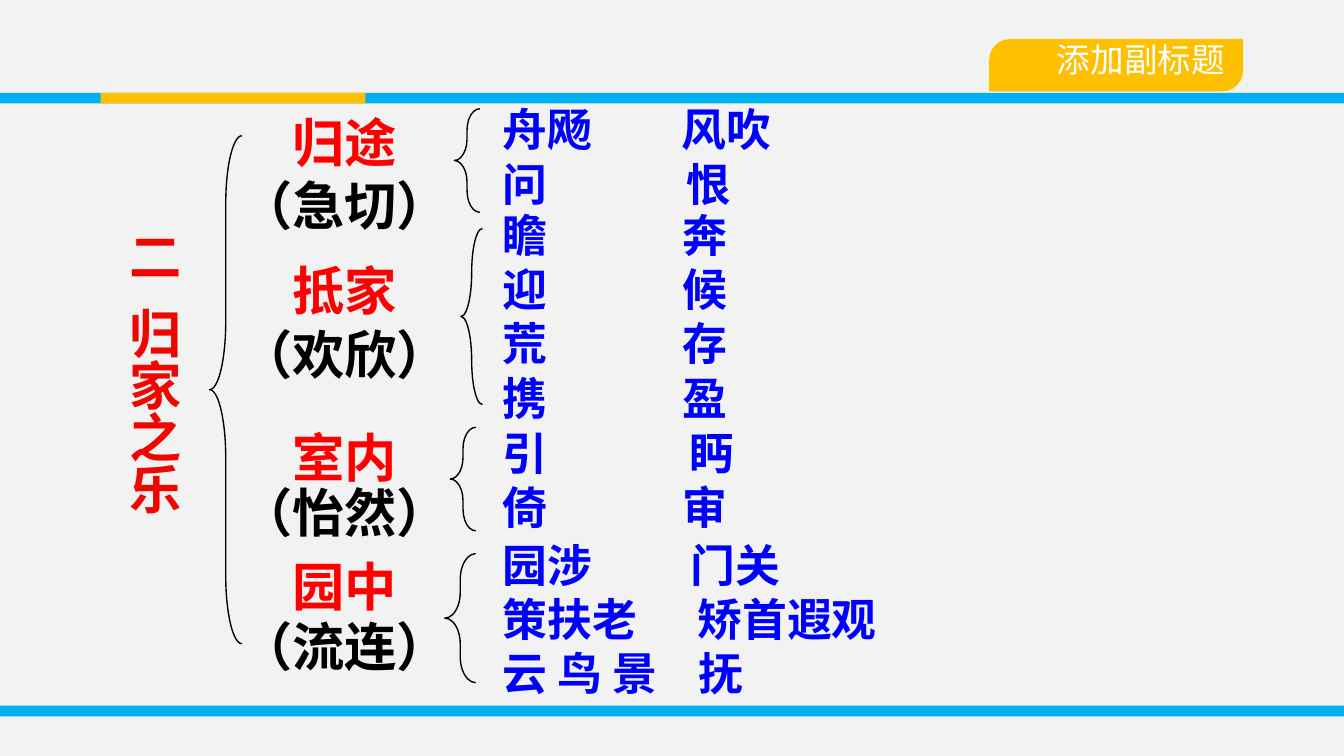
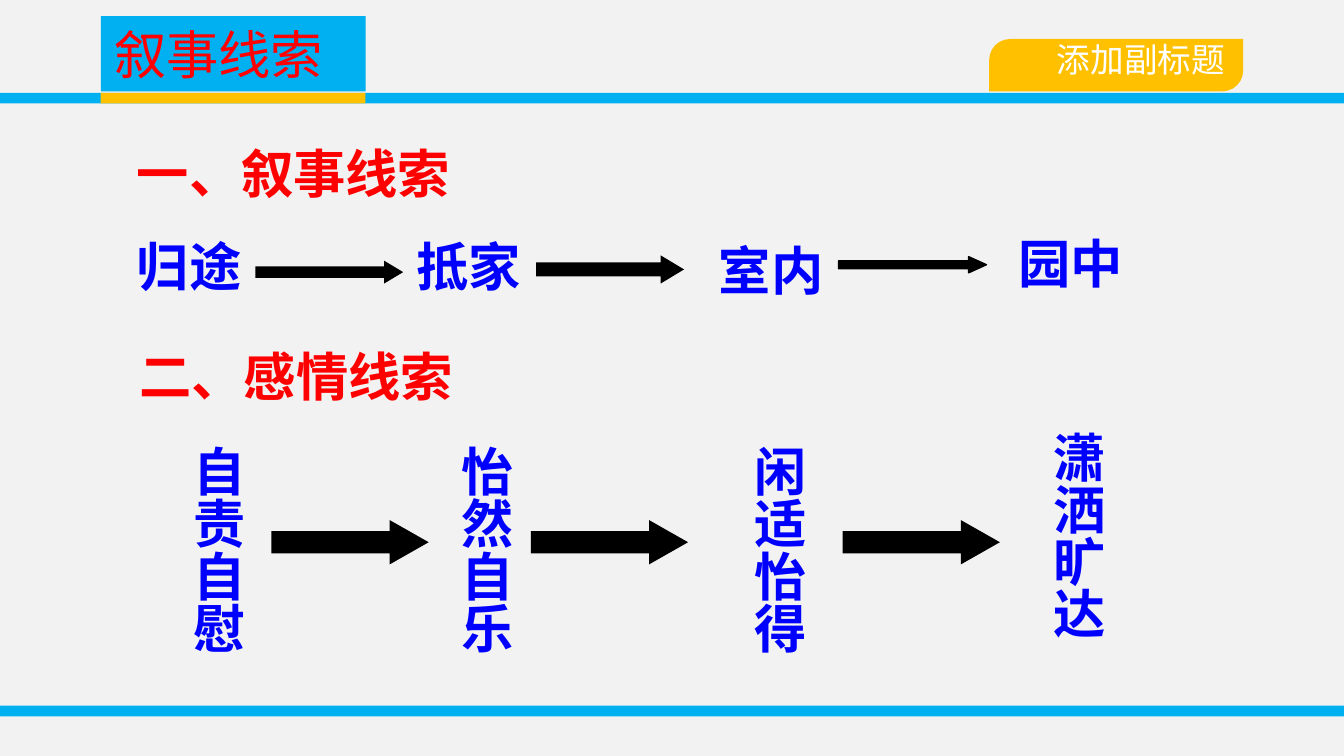
from lxml.etree import SubElement
from pptx import Presentation
from pptx.dml.color import RGBColor as Rgb
from pptx.enum.shapes import MSO_SHAPE as Form
from pptx.enum.text import MSO_ANCHOR as Anchor, MSO_AUTO_SIZE as Auto, PP_ALIGN as Align
from pptx.oxml.ns import qn
from pptx.util import Inches, Pt

GREY = Rgb(0xF2, 0xF2, 0xF2)
SKY = Rgb(0x00, 0xB0, 0xF0)
GOLD = Rgb(0xFF, 0xC0, 0x00)
RED = Rgb(0xFF, 0x00, 0x00)
DEEP = Rgb(0xEE, 0x06, 0x00)
BLUE = Rgb(0x00, 0x00, 0xFF)
BLACK = Rgb(0x00, 0x00, 0x00)
WHITE = Rgb(0xFF, 0xFF, 0xFF)
TITLE_ONLY, BLANK = 5, 6


def write(frame, *lines, tabs=(), size=28, color=BLACK, bold=True, font="Arial",
          align=Align.LEFT, anchor=Anchor.MIDDLE, step=None, inset=None):
    """Fill a text frame with one paragraph per line."""
    frame.word_wrap = True
    frame.auto_size = Auto.NONE
    frame.vertical_anchor = anchor
    if inset:
        (frame.margin_left, frame.margin_top,
         frame.margin_right, frame.margin_bottom) = map(Inches, inset)
    for num, line in enumerate(lines):
        para = frame.add_paragraph() if num else frame.paragraphs[0]
        para.alignment = align
        if step:
            para.line_spacing = Pt(step)
        if tabs:
            stops = SubElement(para._p.get_or_add_pPr(), qn("a:tabLst"))
            SubElement(stops, qn("a:tab"), pos=str(Inches(tabs[num])), algn="l")
        run = para.add_run()
        run.text = line
        run.font.size, run.font.bold, run.font.name = Pt(size), bold, font
        run.font.color.rgb = color
        SubElement(run._r.get_or_add_rPr(), qn("a:ea"), typeface=font)


def label(slide, box, *lines, **style):
    """Add a text box."""
    frame = slide.shapes.add_textbox(*map(Inches, box)).text_frame
    write(frame, *lines, **style)
    return frame


def column(slide, box, text, **style):
    """Add a text box that reads from top to bottom."""
    frame = label(slide, box, text, anchor=Anchor.TOP, **style)
    frame._txBody.bodyPr.set("vert", "eaVert")


def draw(slide, form, box, fill=None, line=None, adjust=()):
    """Add a preset shape with its fill, line and adjustments."""
    shape = slide.shapes.add_shape(form, *map(Inches, box))
    shape.shadow.inherit = False
    for num, value in enumerate(adjust):
        shape.adjustments[num] = value
    if fill is None:
        shape.fill.background()
    else:
        shape.fill.solid()
        shape.fill.fore_color.rgb = fill
    if line is None:
        shape.line.fill.background()
    else:
        shape.line.color.rgb = line
        shape.line.width = Pt(0.75)
    return shape


def start(deck, layout):
    """Add a slide with the shared background, bands and corner tab."""
    slide = deck.slides.add_slide(deck.slide_layouts[layout])
    slide.background.fill.solid()
    slide.background.fill.fore_color.rgb = GREY
    for top in (5.25, 0.69):
        draw(slide, Form.RECTANGLE, (0, top, 10, 0.08), SKY)
    draw(slide, Form.RECTANGLE, (0.75, 0.69, 1.97, 0.08), GOLD)
    tab = draw(slide, Form.ROUND_2_DIAG_RECTANGLE, (7.36, 0.29, 1.89, 0.39), GOLD,
               adjust=(0.4, 0))
    write(tab.text_frame, "添加副标题", size=18, color=WHITE, bold=False,
          align=Align.RIGHT, inset=(0, 0, 0.09, 0.09))
    return slide


def brace(slide, box, curve):
    """Add a left brace."""
    draw(slide, Form.LEFT_BRACE, box, line=BLACK, adjust=(curve, 0.5))


def stage(slide, top, place, mood, drop, hook, curve, rows_top, rows):
    """Add one stage of the way home: place, mood, brace and word rows."""
    label(slide, (2.08, top, 0.99, 0.57), place, color=RED)
    label(slide, (1.69, top + drop, 1.78, 0.57), mood)
    brace(slide, hook, curve)
    label(slide, (3.74, rows_top, 3.4, 0.4 * len(rows)),
          *[text for text, _ in rows], tabs=[stop for _, stop in rows],
          size=24, color=BLUE, font="Calibri", step=29, inset=(0, 0, 0, 0))


def joys(deck):
    """Build the slide on the joys of coming home."""
    slide = start(deck, BLANK)
    column(slide, (0.76, 1.62, 0.67, 3.08), "二\t归家之乐", tabs=(0.57,), color=DEEP)
    brace(slide, (1.56, 1.01, 0.24, 3.78), 2.11)
    stage(slide, 0.77, "归途", "（急切）", 0.47, (3.38, 0.81, 0.19, 0.77), 0.84, 0.76,
          [("舟飏\t风吹", 1.33), ("问\t恨", 1.37)])
    stage(slide, 1.87, "抵家", "（欢欣）", 0.48, (3.43, 1.7, 0.16, 1.31), 2.1, 1.55,
          [(text, 1.34) for text in ("瞻\t奔", "迎\t候", "荒\t存", "携\t盈")])
    stage(slide, 3.11, "室内", "（怡然）", 0.41, (3.35, 3.18, 0.19, 0.77), 0.84, 3.17,
          [("引\t眄", 1.39), ("倚\t审", 1.34)])
    stage(slide, 4.07, "园中", "（流连）", 0.45, (3.31, 4.12, 0.23, 0.96), 0.84, 4,
          [("园涉\t门关", 1.4), ("策扶老\t矫首遐观", 1.45), ("云 鸟 景\t抚", 1.46)])


def head(slide, box, text):
    """Place and format the title placeholder."""
    title = slide.shapes.title
    title.left, title.top, title.width, title.height = map(Inches, box)
    title.fill.solid()
    title.fill.fore_color.rgb = SKY
    write(title.text_frame, text, color=RED, bold=False)


def arrow(slide, box, tip, line=None):
    """Add a black block arrow."""
    draw(slide, Form.RIGHT_ARROW, box, BLACK, line, (0.5, tip))


def clues(deck):
    """Build the slide on the two threads of the story."""
    slide = start(deck, TITLE_ONLY)
    head(slide, (0.75, 0.12, 1.97, 0.56), "叙事线索")
    label(slide, (0.92, 1, 2.57, 0.57), "一、叙事线索", color=RED)
    for left, top, text in ((0.92, 1.69, "归途"), (3, 1.69, "抵家"),
                            (5.25, 1.72, "室内"), (7.48, 1.67, "园中")):
        label(slide, (left, top, 0.99, 0.57), text, color=BLUE)
    for left, top, high, tip, line in ((1.9, 1.94, 0.17, 0.83, None),
                                       (3.99, 1.9, 0.21, 0.83, None),
                                       (6.24, 1.91, 0.12, 1.1, BLACK)):
        arrow(slide, (left, top, 1.1, high), tip, line)
    label(slide, (0.94, 2.51, 2.57, 0.57), "二、感情线索", color=RED)
    for left, top, text in ((1.23, 3.22, "自责自慰"), (3.23, 3.22, "怡然自乐"),
                            (5.41, 3.22, "闲适怡得"), (7.63, 3.11, "潇洒旷达")):
        column(slide, (left, top, 0.67, 1.75), text, color=BLUE)
    for left in (2.02, 3.95, 6.27):
        arrow(slide, (left, 3.87, 1.17, 0.33), 0.88)


def main():
    """Build and save the deck."""
    deck = Presentation()
    deck.slide_width = Inches(10)
    deck.slide_height = deck.slide_width * 9 // 16
    joys(deck)
    clues(deck)
    deck.save("out.pptx")


if __name__ == "__main__":
    main()
